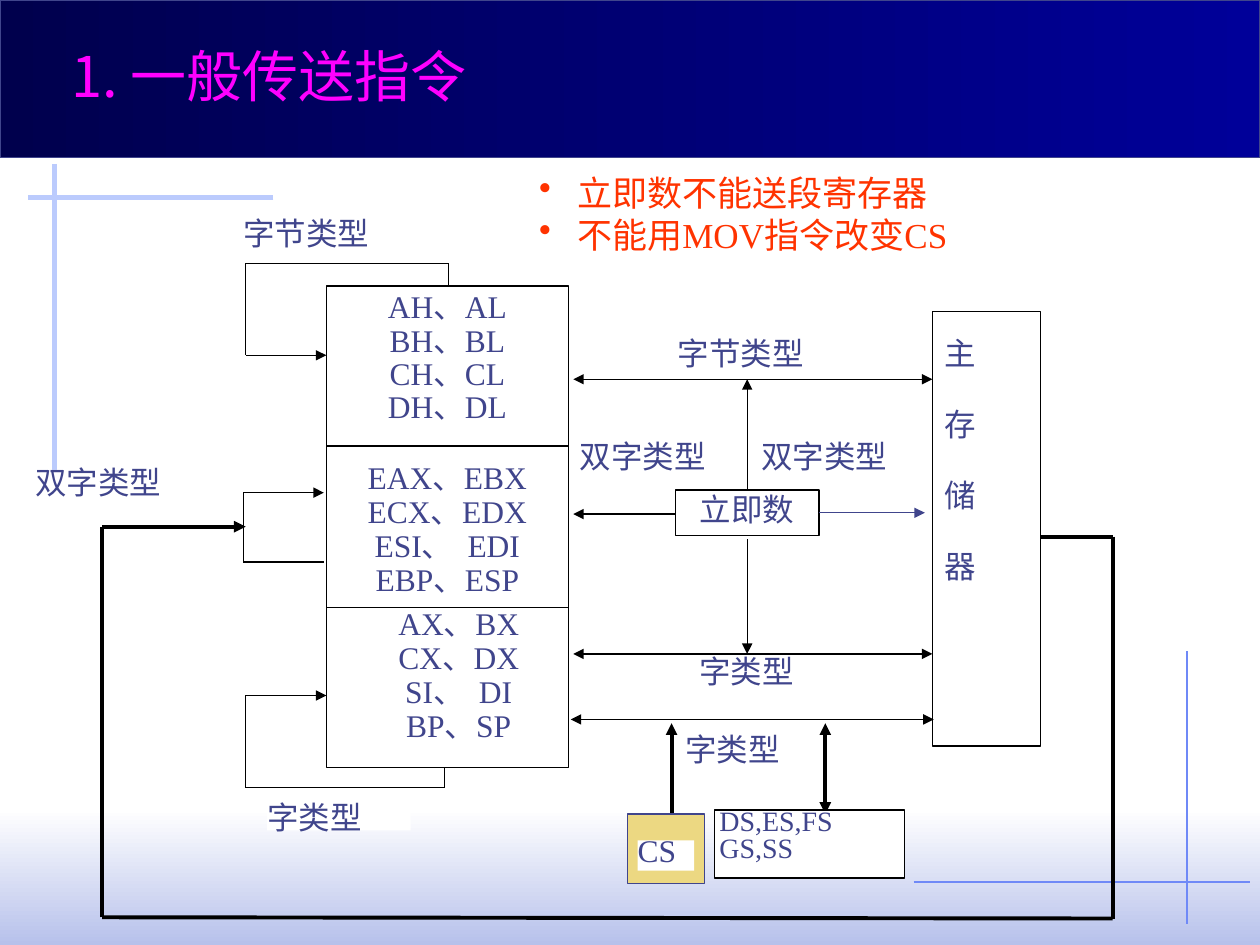
from typing import NamedTuple

from lxml import etree
from pptx import Presentation
from pptx.dml.color import RGBColor
from pptx.enum.shapes import MSO_CONNECTOR, MSO_SHAPE
from pptx.enum.text import MSO_ANCHOR, PP_ALIGN
from pptx.oxml.ns import qn
from pptx.util import Inches, Pt

RECT = MSO_SHAPE.RECTANGLE
LINE = MSO_CONNECTOR.STRAIGHT
TOP = MSO_ANCHOR.TOP
LEFT, MID, JUST = PP_ALIGN.LEFT, PP_ALIGN.CENTER, PP_ALIGN.JUSTIFY
ROMAN, SANS = "Times New Roman", "Noto Sans CJK SC"
COLORS = {
    "ink": "40458C", "black": "000000", "white": "FFFFFF", "gold": "ECD882",
    "red": "FF3300", "pink": "FF00FF", "night": "00004D", "navy": "000099",
    "haze": "B7C1EB", "pale": "BBCBFD", "sky": "6F89F7",
}


class Box(NamedTuple):
    at: tuple
    rows: tuple = ()
    fill: str | None = "white"
    edge: str | None = None
    inset: tuple = (0, 0, 0, 0)
    align: PP_ALIGN = JUST
    lead: float = 1.0
    gap: float = 0
    size: float = 18
    font: str = ROMAN
    color: str = "ink"
    bullet: bool = False


class Route(NamedTuple):
    points: tuple
    head: bool = False
    tail: bool = False
    width: float = 0.75
    color: str = "black"


def rgb(name: str) -> RGBColor:
    return RGBColor.from_string(COLORS[name])


def add_bullet(para, color: str) -> None:
    props = para._p.get_or_add_pPr()
    props.set("marL", str(Inches(0.24)))
    props.set("indent", str(-Inches(0.24)))
    tint = etree.SubElement(props, qn("a:buClr"))
    etree.SubElement(tint, qn("a:srgbClr"), val=COLORS[color])
    etree.SubElement(props, qn("a:buChar"), char="•")


def add_text(frame, box: Box) -> None:
    frame.word_wrap = True
    frame.vertical_anchor = TOP
    (frame.margin_left, frame.margin_top,
     frame.margin_right, frame.margin_bottom) = map(Inches, box.inset)
    for i, row in enumerate(box.rows):
        para = frame.paragraphs[0] if i == 0 else frame.add_paragraph()
        if box.bullet:
            add_bullet(para, box.color)
        para.alignment = box.align
        para.line_spacing = box.lead
        if i and box.gap:
            para.space_before = Pt(box.gap)
        run = para.add_run()
        run.text = row
        run.font.size = Pt(box.size)
        run.font.name = box.font
        run.font.color.rgb = rgb(box.color)


def add_box(slide, box: Box) -> None:
    place = map(Inches, box.at)
    if box.fill is None:
        add_text(slide.shapes.add_textbox(*place).text_frame, box)
        return
    shape = slide.shapes.add_shape(RECT, *place)
    shape.shadow.inherit = False
    shape.fill.solid()
    shape.fill.fore_color.rgb = rgb(box.fill)
    if box.edge:
        shape.line.color.rgb = rgb(box.edge)
        shape.line.width = Pt(0.75)
    else:
        shape.line.fill.background()
    if box.rows:
        add_text(shape.text_frame, box)


def add_band(slide, at: tuple, stops: tuple, angle: int, edge: str | None = None) -> None:
    band = slide.shapes.add_shape(RECT, *map(Inches, at))
    band.shadow.inherit = False
    band.fill.gradient()
    band.fill.gradient_angle = angle
    for stop, name in zip(band.fill.gradient_stops, stops):
        stop.color.rgb = rgb(name)
    if edge:
        band.line.color.rgb = rgb(edge)
        band.line.width = Pt(0.75)
    else:
        band.line.fill.background()


def add_route(slide, route: Route) -> None:
    legs = list(zip(route.points, route.points[1:]))
    for i, (start, end) in enumerate(legs):
        leg = slide.shapes.add_connector(LINE, *map(Inches, (*start, *end)))
        leg.line.color.rgb = rgb(route.color)
        leg.line.width = Pt(route.width)
        line = leg.line._get_or_add_ln()
        if route.head and i == 0:
            etree.SubElement(line, qn("a:headEnd"), type="triangle")
        if route.tail and i == len(legs) - 1:
            etree.SubElement(line, qn("a:tailEnd"), type="triangle")
        etree.SubElement(leg._element.spPr, qn("a:effectLst"))


def label(text: str, *at: float) -> Box:
    return Box(at, (text,), lead=0.8)


PAD = (0.1, 0.05, 0.1, 0.05)
DECOR = (
    Route(((9.42, 5.17), (9.42, 7.33)), color="sky"),
    Route(((2.17, 1.57), (0.22, 1.57)), width=3, color="pale"),
    Route(((0.43, 1.3), (0.43, 3.83)), width=3, color="pale"),
    Route(((7.25, 7), (9.92, 7)), color="sky"),
)
# Immediate value, register file, main memory
BLOCKS = (
    Box((5.36, 3.89, 1.14, 0.36), ("立即数",), edge="black", align=MID),
    Box((2.59, 2.27, 1.92, 3.82), ("AH、AL", "BH、BL", "CH、CL", "DH、DL"),
        edge="black", inset=PAD, align=MID, lead=0.88),
    Box((7.4, 2.47, 0.86, 3.45), tuple("主存储器"), edge="black",
        inset=(0.1, 0.18, 0.1, 0.05), gap=19),
)
ROUTES = (
    # Loops from the registers back to themselves
    Route(((3.56, 2.27), (3.56, 2.09), (1.95, 2.09), (1.95, 2.82), (2.59, 2.82)), tail=True),
    Route(((2.57, 4.46), (1.93, 4.46), (1.93, 3.91), (2.57, 3.91)), tail=True),
    Route(((3.53, 6.09), (3.53, 6.25), (1.95, 6.25), (1.95, 5.52), (2.59, 5.52)), tail=True),
    # Register dividers
    Route(((2.59, 3.54), (4.52, 3.54))),
    Route(((2.59, 4.82), (4.52, 4.82))),
    # Registers to memory
    Route(((4.55, 3.01), (7.4, 3.01)), True, True),
    Route(((4.55, 5.19), (7.4, 5.19)), True, True),
    Route(((4.53, 5.71), (7.41, 5.71)), True, True),
    # Segment registers
    Route(((6.55, 5.74), (6.55, 6.46)), True, True, 2.25),
    Route(((5.33, 5.74), (5.33, 6.46)), head=True, width=2.25),
    # From the immediate value
    Route(((5.93, 3.89), (5.93, 3.01)), tail=True),
    Route(((5.93, 4.28), (5.93, 5.19)), tail=True),
    Route(((5.36, 4.08), (4.55, 4.08)), tail=True),
    Route(((6.5, 4.07), (7.34, 4.07)), tail=True, color="ink"),
    # Memory around to the double-word registers
    Route(((8.26, 4.26), (8.83, 4.26), (8.83, 7.29), (0.81, 7.28), (0.81, 4.18), (1.95, 4.18)),
          tail=True, width=2.25),
)
TEXTS = (
    label("字节类型", 1.93, 1.76, 1.49, 0.27),
    label("字类型", 2.12, 6.39, 1.14, 0.2),
    label("字节类型", 5.38, 2.71, 1.5, 0.22),
    label("字类型", 5.55, 5.23, 1.26, 0.28),
    label("双字类型", 0.28, 3.73, 1.52, 0.29),
    label("字类型", 5.44, 5.85, 1.06, 0.34),
    label("双字类型", 4.6, 3.53, 1.29, 0.27),
    label("双字类型", 6.04, 3.53, 1.29, 0.27),
    Box((2.64, 3.67, 1.82, 1.08), ("EAX、EBX", "ECX、EDX", "ESI、  EDI", "EBP、ESP"),
        fill=None, align=MID, lead=0.9),
    Box((2.9, 4.83, 1.48, 1.08), ("AX、BX", "CX、DX", "SI、  DI", "BP、SP"),
        fill=None, align=MID, lead=0.9),
    Box((5.67, 6.43, 1.51, 0.54), ("DS,ES,FS", "GS,SS"), edge="black",
        inset=(0.04, 0, 0, 0), lead=0.8, size=16),
    Box((4.98, 6.46, 0.61, 0.55), fill="gold", edge="ink"),
    Box((5.06, 6.67, 0.45, 0.24), ("CS",), lead=0.72),
    Box((4.18, 1.31, 3.5, 0.77), (" 立即数不能送段寄存器", " 不能用MOV指令改变CS"),
        fill=None, inset=PAD, align=LEFT, size=20, color="red", bullet=True),
    Box((0.47, 0.28, 3.78, 0.64), ("1. 一般传送指令",), fill=None, inset=PAD,
        align=LEFT, size=32, font=SANS, color="pink"),
)


def main() -> None:
    deck = Presentation()
    deck.slide_width, deck.slide_height = Inches(10), Inches(7.5)
    slide = deck.slides.add_slide(deck.slide_layouts[6])
    # Backdrop
    add_band(slide, (0, 6.42, 10, 1.08), ("white", "haze"), 270)
    add_band(slide, (0, 0, 10, 1.25), ("night", "navy"), 0, "ink")
    for route in DECOR:
        add_route(slide, route)
    # Diagram
    for block in BLOCKS:
        add_box(slide, block)
    for route in ROUTES:
        add_route(slide, route)
    for text in TEXTS:
        add_box(slide, text)
    deck.save("out.pptx")


if __name__ == "__main__":
    main()
